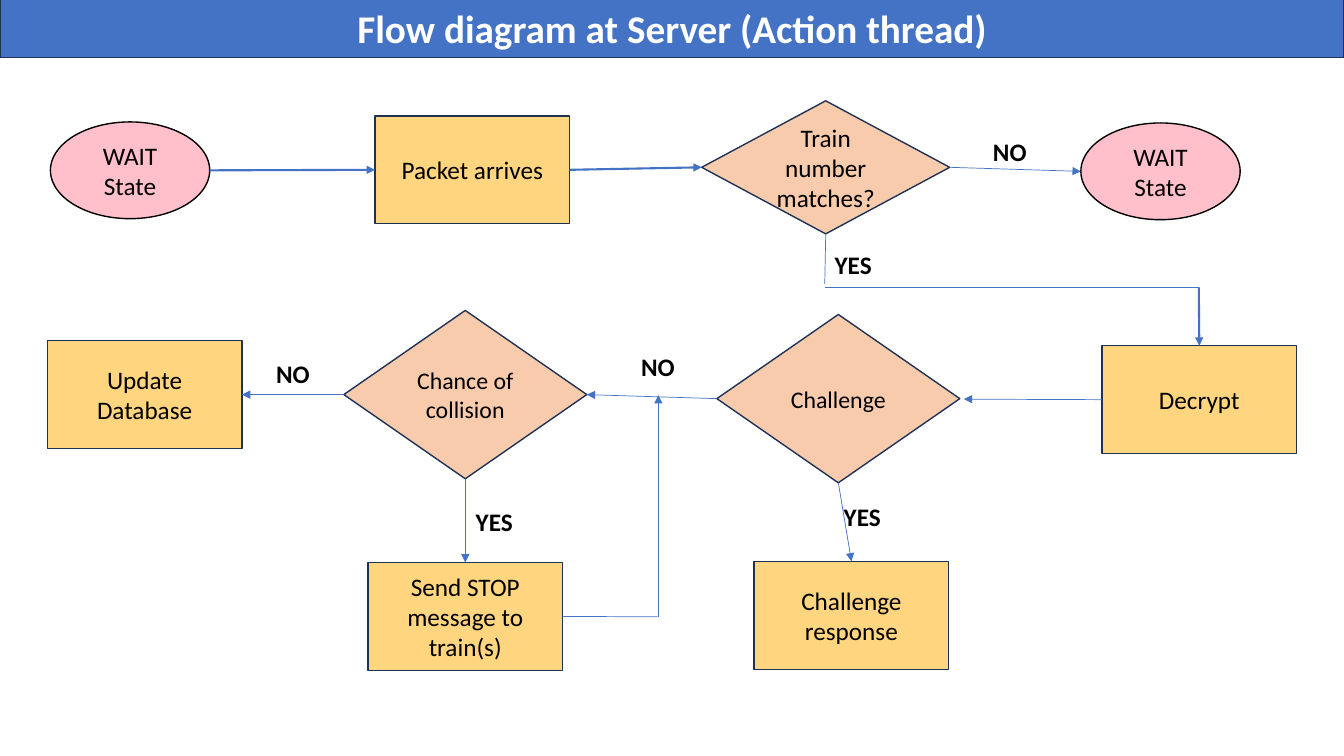
from pptx import Presentation
from pptx.dml.color import RGBColor
from pptx.enum.shapes import MSO_CONNECTOR, MSO_SHAPE
from pptx.enum.text import MSO_ANCHOR, MSO_AUTO_SIZE, PP_ALIGN
from pptx.oxml.ns import qn
from pptx.util import Inches, Pt
from lxml.etree import SubElement

BLUE = RGBColor(0x44, 0x72, 0xC4)
NAVY = RGBColor(0x1E, 0x32, 0x56)
PINK = RGBColor(0xFF, 0xC0, 0xCB)
GOLD = RGBColor(0xFF, 0xD5, 0x80)
PEACH = RGBColor(0xF8, 0xCB, 0xAD)
BLACK = RGBColor(0, 0, 0)
WHITE = RGBColor(0xFF, 0xFF, 0xFF)

TOP, LEFT, BOTTOM, RIGHT = range(4)
THIN, THICK = 0.5, 1.5


class Chart:
    font = "Calibri"

    def __init__(self, slide):
        self.shapes = slide.shapes

    def words(self, para, text, size=18, color=BLACK, bold=False):
        run = para.add_run()
        run.text = text
        run.font.name = self.font
        run.font.size = Pt(size)
        run.font.bold = bold
        run.font.color.rgb = color

    def node(self, kind, box, fill, edge, lines, **style):
        shape = self.shapes.add_shape(kind, *map(Inches, box))
        shape.shadow.inherit = False
        shape.fill.solid()
        shape.fill.fore_color.rgb = fill
        shape.line.color.rgb = edge
        shape.line.width = Pt(1)
        frame = shape.text_frame
        frame.word_wrap = True
        frame.vertical_anchor = MSO_ANCHOR.MIDDLE
        for index, text in enumerate(lines):
            para = frame.add_paragraph() if index else frame.paragraphs[0]
            para.alignment = PP_ALIGN.CENTER
            self.words(para, text, **style)
        return shape

    def title(self, text):
        self.node(MSO_SHAPE.RECTANGLE, (0, -0.02, 13.33, 0.59), BLUE, NAVY,
                  [text], size=28, color=WHITE, bold=True)

    def wait(self, x, y):
        self.node(MSO_SHAPE.OVAL, (x, y, 1.58, 0.96), PINK, BLACK,
                  ["WAIT", "State"])

    def step(self, x, y, text):
        return self.node(MSO_SHAPE.RECTANGLE, (x, y, 1.93, 1.07), GOLD, NAVY,
                         [text])

    def choice(self, x, y, text, width=2.41, height=1.67, size=17):
        return self.node(MSO_SHAPE.DIAMOND, (x, y, width, height), PEACH, NAVY,
                         [text], size=size)

    def label(self, x, y, text, width):
        box = self.shapes.add_textbox(*map(Inches, (x, y, width, 0.4)))
        frame = box.text_frame
        frame.word_wrap = False
        frame.auto_size = MSO_AUTO_SIZE.SHAPE_TO_FIT_TEXT
        self.words(frame.paragraphs[0], text, bold=True)

    def yes(self, x, y):
        self.label(x, y, "YES", 0.57)

    def no(self, x, y):
        self.label(x, y, "NO", 0.54)

    def link(self, start, end, weight=THIN, head=True):
        tied = [not isinstance(spot[0], (int, float)) for spot in (start, end)]
        points = [(0, 0) if tie else spot
                  for tie, spot in zip(tied, (start, end))]
        line = self.shapes.add_connector(
            MSO_CONNECTOR.STRAIGHT, *map(Inches, points[0] + points[1]))
        if tied[0]:
            line.begin_connect(*start)
        if tied[1]:
            line.end_connect(*end)
        line.line.color.rgb = BLUE
        line.line.width = Pt(weight)
        props = line._element.spPr
        if head:
            SubElement(props.find(qn("a:ln")), qn("a:tailEnd"),
                       type="triangle")
        SubElement(props, qn("a:effectLst"))


def main():
    deck = Presentation()
    deck.slide_width = Inches(13.33)
    deck.slide_height = Inches(7.5)
    chart = Chart(deck.slides.add_slide(deck.slide_layouts[6]))

    chart.title("Flow diagram at Server (Action thread)")
    chart.wait(0.5, 1.21)
    chart.wait(10.72, 1.22)
    packet = chart.step(3.72, 1.15, "Packet arrives")
    match = chart.choice(6.96, 1, "Train number matches?", 2.46, 1.32, 18)
    decrypt = chart.step(10.93, 3.43, "Decrypt")
    test = chart.choice(7.11, 3.12, "Challenge")
    reply = chart.step(7.48, 5.57, "Challenge response")
    crash = chart.choice(3.41, 3.08, "Chance of collision")
    update = chart.step(0.47, 3.38, "Update Database")
    stop = chart.step(3.65, 5.58, "Send STOP message to train(s)")

    chart.link((2.08, 1.69), (packet, LEFT), THICK)
    chart.link((packet, RIGHT), (match, LEFT), THICK)
    chart.link((match, RIGHT), (10.72, 1.7))
    chart.link((match, BOTTOM), (8.18, 2.82), head=False)
    chart.link((8.18, 2.85), (11.89, 2.85), head=False)
    chart.link((11.89, 2.85), (decrypt, TOP), THICK)
    chart.link((decrypt, LEFT), (9.56, 3.96))
    chart.link((test, LEFT), (crash, RIGHT))
    chart.link((test, BOTTOM), (reply, TOP))
    chart.link((crash, LEFT), (update, RIGHT))
    chart.link((crash, BOTTOM), (stop, TOP))
    chart.link((stop, RIGHT), (6.53, 6.12), head=False)
    chart.link((6.53, 6.12), (6.53, 3.92))

    for spot in ((8.18, 2.42), (4.62, 4.97), (8.27, 4.92)):
        chart.yes(*spot)
    for spot in ((9.75, 1.3), (2.64, 3.51), (6.26, 3.44)):
        chart.no(*spot)

    deck.save("out.pptx")


if __name__ == "__main__":
    main()
